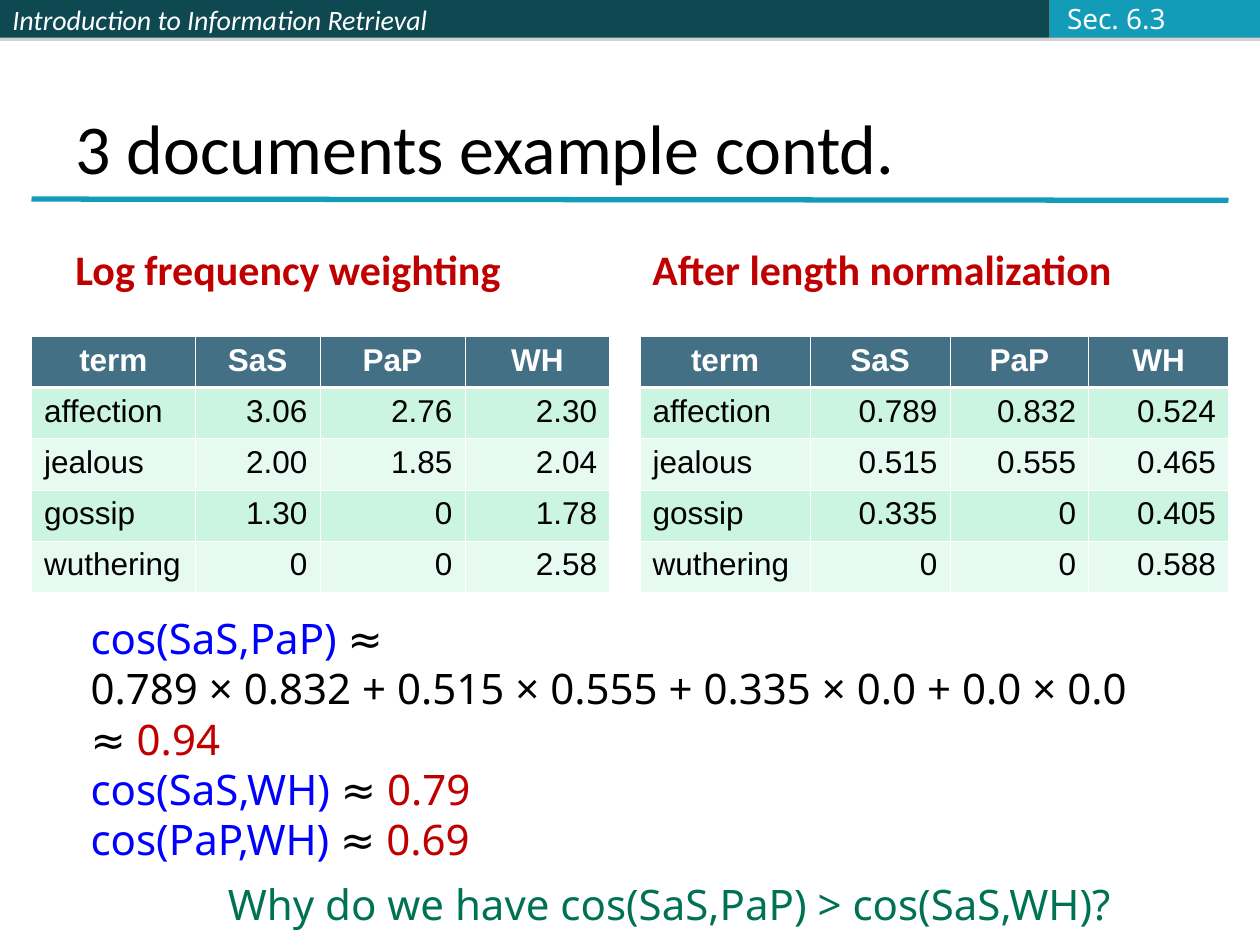
from lxml.etree import SubElement
from pptx import Presentation
from pptx.dml.color import RGBColor
from pptx.enum.shapes import MSO_CONNECTOR, MSO_SHAPE
from pptx.enum.text import MSO_ANCHOR, PP_ALIGN
from pptx.oxml import parse_xml
from pptx.oxml.ns import nsdecls, qn
from pptx.util import Inches, Pt

COLORS = {
    "black": "000000", "white": "FFFFFF", "pale": "FBFCFF", "dark": "0E4851",
    "teal": "139CB7", "red": "C00000", "blue": "0000FF", "green": "007254",
    "header": "437085", "band": "CBF5E1", "light": "E7FAF1", "shadow": "808080",
}

# Content: a paragraph is a list of (text, color) spans
TITLE = "3 documents example contd."
COURSE = "Introduction to Information Retrieval"
BARS = [(0, 4.08, "dark"), (4.08, 4.25, "dark"), (8.33, 1.67, "teal")]
HEADER = ["term", "SaS", "PaP", "WH"]
TERMS = ["affection", "jealous", "gossip", "wuthering"]
TABLES = [
    {"heading": "Log frequency weighting", "heading_left": 0.5, "left": 0.25,
     "widths": [1.3, 0.99, 1.15, 1.15],
     "values": [["3.06", "2.76", "2.30"], ["2.00", "1.85", "2.04"],
                ["1.30", "0", "1.78"], ["0", "0", "2.58"]]},
    {"heading": "After length normalization", "heading_left": 5.08, "left": 5.08,
     "widths": [1.35, 1.11, 1.1, 1.11],
     "values": [["0.789", "0.832", "0.524"], ["0.515", "0.555", "0.465"],
                ["0.335", "0", "0.405"], ["0", "0", "0.588"]]},
]
COSINES = [
    [("cos(SaS,PaP) ", "blue"), ("≈", "black")],
    [("0.789 × 0.832 + 0.515 × 0.555 + 0.335 × 0.0 + 0.0 × 0.0", "black")],
    [("≈ ", "black"), ("0.94", "red")],
    [("cos(SaS,WH)", "blue"), (" ≈ ", "black"), ("0.79", "red")],
    [("cos(PaP,WH) ", "blue"), ("≈ ", "black"), ("0.69", "red")],
]
QUESTION = [[("Why do we have cos(SaS,PaP) > cos(SaS,WH)?", "green")]]
SECTION = [[("Sec. 6.3", "pale")]]

# Text formats
TITLE_FONT = {"name": "Calibri", "size": Pt(40)}
COURSE_FONT = {"name": "Calibri", "size": Pt(16), "italic": True}
HEADING_FONT = {"name": "Calibri", "size": Pt(24), "bold": True}
NOTE_FONT = {"name": "Noto Sans", "size": Pt(24)}
SECTION_FONT = {"name": "Noto Sans", "size": Pt(16)}
HEADER_FONT = {"name": "Arial", "size": Pt(18), "bold": True}
CELL_FONT = {"name": "Arial", "size": Pt(18), "bold": False}


def rgb(name):
    return RGBColor.from_string(COLORS[name])


def write(frame, paragraphs, font, **layout):
    for index, spans in enumerate(paragraphs):
        para = frame.paragraphs[0] if index == 0 else frame.add_paragraph()
        for name, value in {"alignment": PP_ALIGN.LEFT, **layout}.items():
            setattr(para, name, value)
        for text, color in spans:
            span = para.add_run()
            span.text = text
            for name, value in font.items():
                setattr(span.font, name, value)
            span.font.color.rgb = rgb(color)


def add_text(page, area, paragraphs, font, anchor=MSO_ANCHOR.TOP, wrap=False, **layout):
    box = page.shapes.add_textbox(*map(Inches, area))
    box.text_frame.word_wrap = wrap
    box.text_frame.vertical_anchor = anchor
    write(box.text_frame, paragraphs, font, **layout)


def add_bar(page, left, width, color):
    bar = page.shapes.add_shape(
        MSO_SHAPE.RECTANGLE, Inches(left), 0, Inches(width), Inches(0.3))
    bar.fill.solid()
    bar.fill.fore_color.rgb = rgb(color)
    bar.line.fill.background()
    bar.shadow.inherit = False
    effects = bar._element.spPr.find(qn("a:effectLst"))
    effects.append(parse_xml(
        f'<a:outerShdw {nsdecls("a")} blurRad="0" dist="{Pt(1.8)}" dir="5400000">'
        f'<a:srgbClr val="{COLORS["shadow"]}"><a:alpha val="35000"/></a:srgbClr>'
        '</a:outerShdw>'))
    return bar


def set_borders(cell, row):
    weights = {"L": 0.45, "R": 0.45, "T": 1.47 if row == 1 else 0.45,
               "B": 1.47 if row == 0 else 0.45}
    for index, (side, weight) in enumerate(weights.items()):
        cell._tc.get_or_add_tcPr().insert(index, parse_xml(
            f'<a:ln{side} {nsdecls("a")} w="{Pt(weight)}"><a:solidFill>'
            f'<a:srgbClr val="{COLORS["white"]}"/></a:solidFill></a:ln{side}>'))


def add_weights(page, left, widths, values):
    rows = [HEADER] + [[term] + line for term, line in zip(TERMS, values)]
    table = page.shapes.add_table(
        len(rows), len(HEADER), Inches(left), Inches(2.67),
        Inches(sum(widths)), Inches(2.03)).table
    for column, width in zip(table.columns, widths):
        column.width = Inches(width)
    for row, texts in enumerate(rows):
        fill = "header" if row == 0 else "band" if row % 2 else "light"
        font, color = (HEADER_FONT, "white") if row == 0 else (CELL_FONT, "black")
        for column, text in enumerate(texts):
            cell = table.cell(row, column)
            cell.fill.solid()
            cell.fill.fore_color.rgb = rgb(fill)
            set_borders(cell, row)
            alignment = (PP_ALIGN.CENTER if row == 0 else
                         PP_ALIGN.RIGHT if column else PP_ALIGN.LEFT)
            write(cell.text_frame, [[(text, color)]], font, alignment=alignment)


def main():
    deck = Presentation()
    deck.slide_width, deck.slide_height = Inches(10), Inches(7.5)
    page = deck.slides.add_slide(deck.slide_layouts[5])

    # Top band and rule
    bars = [add_bar(page, *bar) for bar in BARS]
    bars[0].text_frame.vertical_anchor = MSO_ANCHOR.MIDDLE
    write(bars[0].text_frame, [[(COURSE, "white")]], COURSE_FONT)
    rule = page.shapes.add_connector(
        MSO_CONNECTOR.STRAIGHT, Inches(0.25), Inches(1.58), Inches(9.75), Inches(1.59))
    rule.line.color.rgb = rgb("teal")
    rule.line.width = Pt(3)
    SubElement(rule._element.spPr, qn("a:effectLst"))

    # Title
    title = page.shapes.title
    title.left, title.top, title.width, title.height = map(Inches, (0.5, 0.3, 9, 1.25))
    title.text_frame.vertical_anchor = MSO_ANCHOR.BOTTOM
    write(title.text_frame, [[(TITLE, "black")]], TITLE_FONT)

    # Headings and tables
    for item in TABLES:
        add_text(page, (item["heading_left"], 1.68, 4.42, 0.7),
                 [[(item["heading"], "red")]], HEADING_FONT,
                 MSO_ANCHOR.BOTTOM, wrap=True, space_before=Pt(6))
        add_weights(page, item["left"], item["widths"], item["values"])

    # Cosines, question and section number
    add_text(page, (0.62, 4.81, 8.42, 2.1), COSINES, NOTE_FONT, line_spacing=Pt(28.8))
    add_text(page, (1.71, 6.92, 7.22, 0.5), QUESTION, NOTE_FONT, line_spacing=Pt(28.8))
    add_text(page, (8.37, -0.04, 0.98, 0.37), SECTION, SECTION_FONT,
             MSO_ANCHOR.MIDDLE, line_spacing=Pt(19.2))

    deck.save("out.pptx")


if __name__ == "__main__":
    main()
